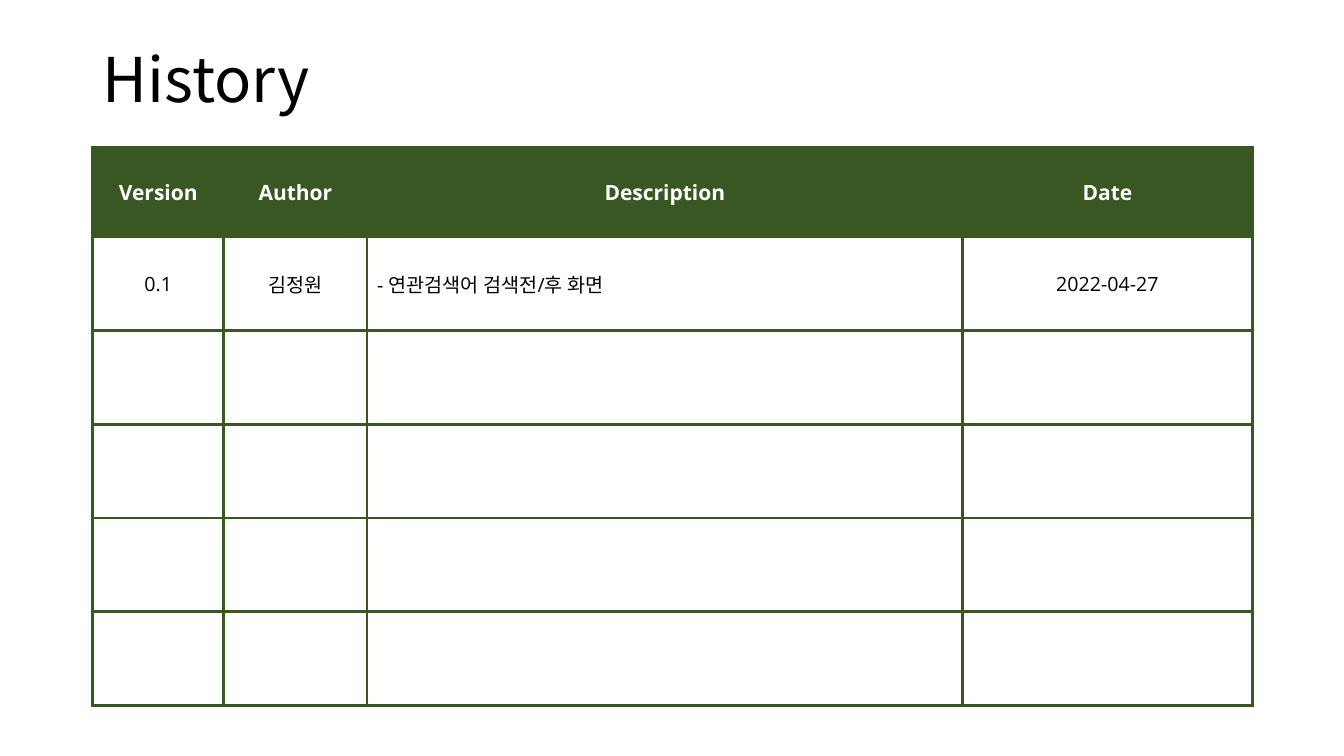
from lxml import etree
from pptx import Presentation
from pptx import util as u
from pptx.dml import color
from pptx.enum import text
from pptx.oxml import ns

GREEN, WHITE, BLACK = "385723", "FFFFFF", "000000"
LATIN, KOREAN = "Open Sans", "Noto Sans CJK KR"
HEADINGS = ["Version", "Author", "Description", "Date"]
REVISIONS = [["0.1", "김정원", "- 연관검색어 검색전/후 화면", "2022-04-27"]]
COLUMN_WIDTHS = [1.3, 1.42, 5.91, 2.87]
HEADING_HEIGHT, REVISION_HEIGHT = 0.89, 0.93
REVISION_ROWS = 5


def rgb(value):
    return color.RGBColor.from_string(value)


def format_run(run, latin, size, ink, bold=False):
    run.font.name = latin
    run.font.size = u.Pt(size)
    run.font.bold = bold
    run.font.color.rgb = rgb(ink)
    east_asian = etree.SubElement(run._r.get_or_add_rPr(), ns.qn("a:ea"))
    east_asian.set("typeface", KOREAN)


def add_borders(cell, ink, width):
    properties = cell._tc.get_or_add_tcPr()
    for side in ("lnL", "lnR", "lnT", "lnB"):
        line = etree.SubElement(properties, ns.qn(f"a:{side}"), w=str(u.Pt(width)))
        fill = etree.SubElement(line, ns.qn("a:solidFill"))
        etree.SubElement(fill, ns.qn("a:srgbClr"), val=ink)


def fill_cell(cell, words, is_heading, centred):
    add_borders(cell, GREEN, 2.25)
    if is_heading:
        cell.fill.solid()
        cell.fill.fore_color.rgb = rgb(GREEN)
    else:
        cell.fill.background()
    cell.vertical_anchor = text.MSO_ANCHOR.MIDDLE
    if not words:
        return
    cell.text_frame.text = words
    paragraph = cell.text_frame.paragraphs[0]
    paragraph.alignment = text.PP_ALIGN.CENTER if centred else text.PP_ALIGN.LEFT
    size, ink = (15, WHITE) if is_heading else (14, BLACK)
    format_run(paragraph.runs[0], LATIN, size, ink, is_heading)


def place_title(slide, left, top, width, height):
    title = slide.shapes.title
    title.left, title.top = u.Inches(left), u.Inches(top)
    title.width, title.height = u.Inches(width), u.Inches(height)
    title.text_frame.text = "History"
    title.text_frame.vertical_anchor = text.MSO_ANCHOR.MIDDLE
    paragraph = title.text_frame.paragraphs[0]
    paragraph.alignment = text.PP_ALIGN.LEFT
    paragraph.line_spacing = 0.9
    format_run(paragraph.runs[0], KOREAN, 44, BLACK)


def place_history(slide, left, top, width):
    blanks = [[""] * len(HEADINGS)] * (REVISION_ROWS - len(REVISIONS))
    entries = [HEADINGS] + REVISIONS + blanks
    height = HEADING_HEIGHT + REVISION_ROWS * REVISION_HEIGHT
    history = slide.shapes.add_table(
        len(entries), len(HEADINGS),
        u.Inches(left), u.Inches(top), u.Inches(width), u.Inches(height),
    ).table
    history.horz_banding = False
    for column, share in zip(history.columns, COLUMN_WIDTHS):
        column.width = u.Inches(width * share / sum(COLUMN_WIDTHS))
    for index, entry in enumerate(entries):
        is_heading = index == 0
        history.rows[index].height = u.Inches(HEADING_HEIGHT if is_heading else REVISION_HEIGHT)
        for heading, cell, words in zip(HEADINGS, history.rows[index].cells, entry):
            fill_cell(cell, words, is_heading, is_heading or heading != "Description")


def main():
    deck = Presentation()
    deck.slide_width, deck.slide_height = u.Inches(13.33), u.Inches(7.5)
    slide = deck.slides.add_slide(deck.slide_layouts[5])
    place_title(slide, 0.92, 0.4, 11.5, 0.84)
    place_history(slide, 0.92, 1.46, 11.5)
    deck.save("out.pptx")


if __name__ == "__main__":
    main()
